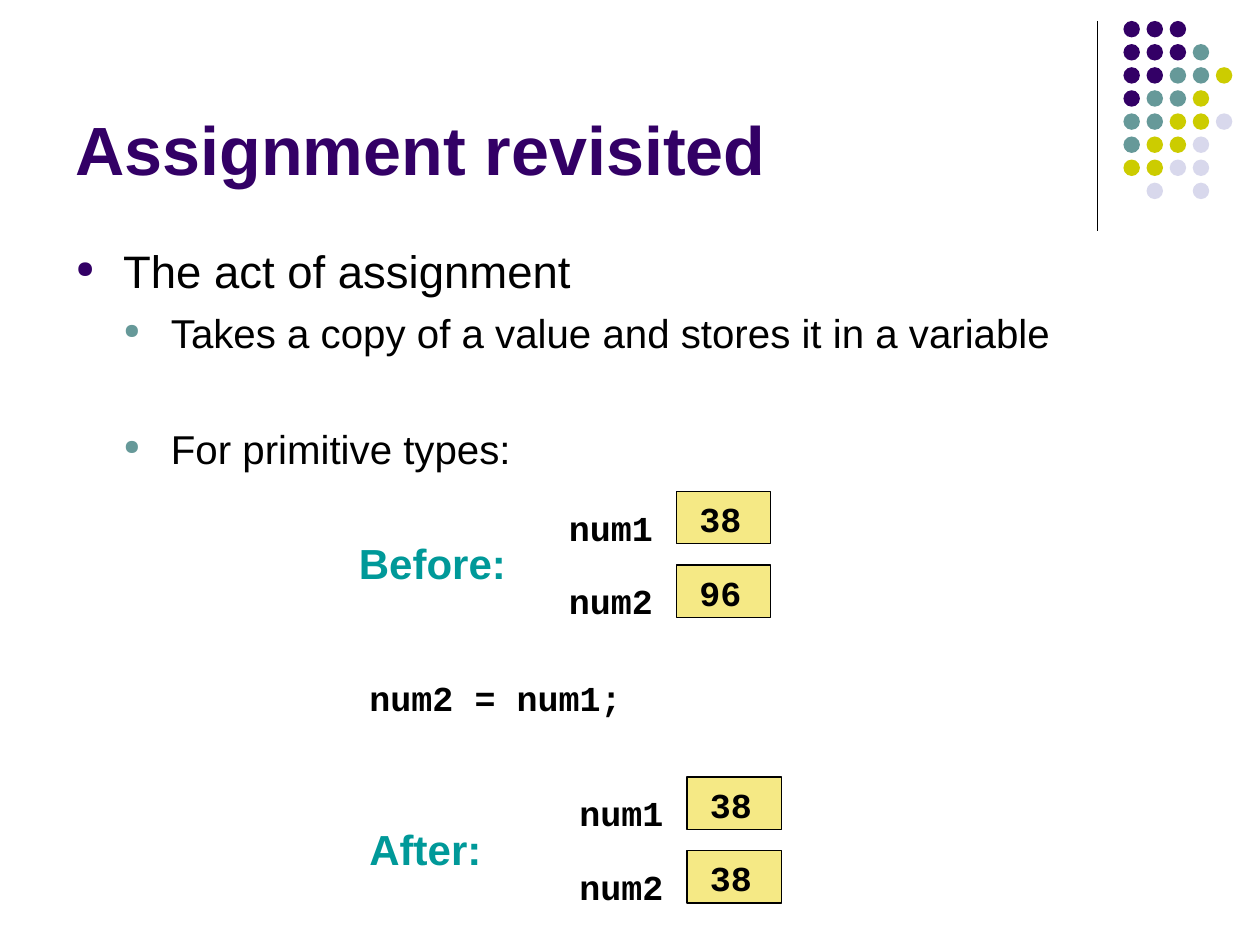
from lxml import etree
from pptx import Presentation
from pptx.dml.color import RGBColor
from pptx.enum import shapes, text
from pptx.oxml.ns import qn
from pptx.util import Pt

INK, TEAL, BLACK = "330066", "669999", "000000"
DOTS = ["000", "0001", "00112", "0112", "11223", "1223", "2233", " 3 3"]
SHADES = [INK, TEAL, "CCCC00", "D8D8EC"]
CODE = dict(name="Courier New", size=Pt(20), bold=True)
LABEL = dict(name="Arial", size=Pt(24), bold=True)


def tint(color, value):
    color.rgb = RGBColor.from_string(value)


def place(shape, *box):
    for key, value in zip(("left", "top", "width", "height"), box):
        setattr(shape, key, Pt(value))


def style(font, form, color):
    for key, value in form.items():
        setattr(font, key, value)
    tint(font.color, color)


def add_form(parent, kind, box, fill, line=None):
    shape = parent.add_shape(kind, *map(Pt, box))
    shape.shadow.inherit = False
    shape.fill.solid()
    tint(shape.fill.fore_color, fill)
    if line:
        tint(shape.line.color, line)
        shape.line.width = Pt(0.75)
    else:
        shape.line.fill.background()


def add_text(parent, words, box, form, color=BLACK):
    frame = parent.add_textbox(*map(Pt, box)).text_frame
    frame.word_wrap = False
    para = frame.paragraphs[0]
    para.text = words
    style(para.runs[0].font, form, color)


def add_rule(parent, x, top, end):
    line = parent.add_connector(shapes.MSO_CONNECTOR.STRAIGHT,
                                Pt(x), Pt(top), Pt(x), Pt(end))
    tint(line.line.color, BLACK)
    line.line.width = Pt(0.75)
    etree.SubElement(line._element.spPr, qn("a:effectLst"))


def add_dots(parent):
    group = parent.add_group_shape().shapes
    for row, marks in enumerate(DOTS):
        for col, mark in enumerate(marks):
            if mark != " ":
                box = (642 + 13.2 * col, 12 + 13.2 * row, 9.4, 9.4)
                add_form(group, shapes.MSO_SHAPE.OVAL, box, SHADES[int(mark)])


def add_title(slide, words):
    title = slide.shapes.title
    place(title, 36, 9.5, 594, 102)
    frame = title.text_frame
    frame.text = words
    frame.vertical_anchor = text.MSO_ANCHOR.BOTTOM
    para = frame.paragraphs[0]
    para.alignment = text.PP_ALIGN.LEFT
    style(para.runs[0].font, dict(name="Arial", size=Pt(39), bold=True), INK)


def add_bullet(para, color, indent):
    props = para._p.get_or_add_pPr()
    props.set("marL", str(Pt(indent)))
    props.set("indent", str(-Pt(27)))
    shade = etree.SubElement(props, qn("a:buClr"))
    etree.SubElement(shade, qn("a:srgbClr"), val=color)
    etree.SubElement(props, qn("a:buSzPct"), val="52000")
    etree.SubElement(props, qn("a:buChar"), char="●")


def add_list(parent, items):
    frame = parent.add_textbox(Pt(36), Pt(135.5), Pt(648), Pt(347)).text_frame
    frame.word_wrap = True
    for num, (words, level, size, gap) in enumerate(items):
        para = frame.add_paragraph() if num else frame.paragraphs[0]
        para.text = words
        para.level = level
        para.space_before = Pt(gap)
        add_bullet(para, (INK, TEAL)[level], 27.3 * (level + 1))
        style(para.runs[0].font, dict(name="Arial", size=Pt(size)), BLACK)


def add_state(parent, x, y, label, values):
    """Draw a labelled pair of variables with their values in boxes."""
    group = parent.add_group_shape().shapes
    for num, value in enumerate(values):
        top = y + 42 * num
        add_form(group, shapes.MSO_SHAPE.RECTANGLE,
                 (x + 188.5, top, 54, 30), "F5E985", BLACK)
        add_text(group, f"num{num + 1}", (x + 120, top + 5, 64, 31.5), CODE)
        add_text(group, value, (x + 194.5, top, 40, 31.5), CODE)
    add_text(group, label, (x, y + 22.8, 108, 36), LABEL, "009999")


def main():
    deck = Presentation()
    deck.slide_width, deck.slide_height = Pt(720), Pt(540)
    slide = deck.slides.add_slide(deck.slide_layouts[5])
    parent = slide.shapes
    add_rule(parent, 627, 12, 132)
    add_dots(parent)
    add_title(slide, "Assignment revisited")
    add_list(parent, [
        ("The act of assignment", 0, 26, 6.5),
        ("Takes a copy of a value and stores it in a variable", 1, 23, 5.8),
        ("For primitive types:", 1, 23, 39),
    ])
    add_state(parent, 198, 280.8, "Before:", ["38", "96"])
    add_text(parent, "num2 = num1;", (204, 383, 168, 31.5), CODE)
    add_state(parent, 204, 444, "After:", ["38", "38"])
    deck.save("out.pptx")


if __name__ == "__main__":
    main()
